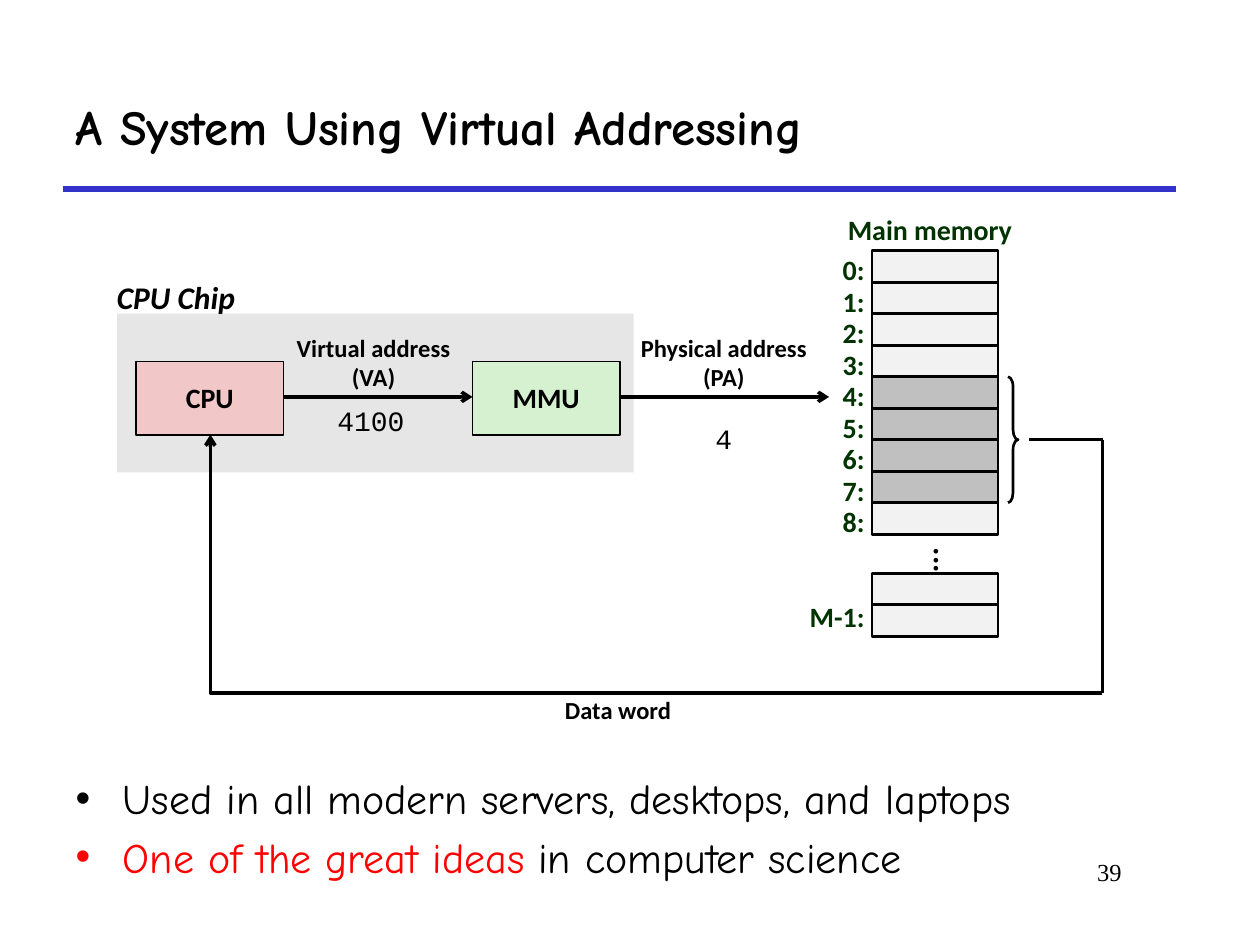
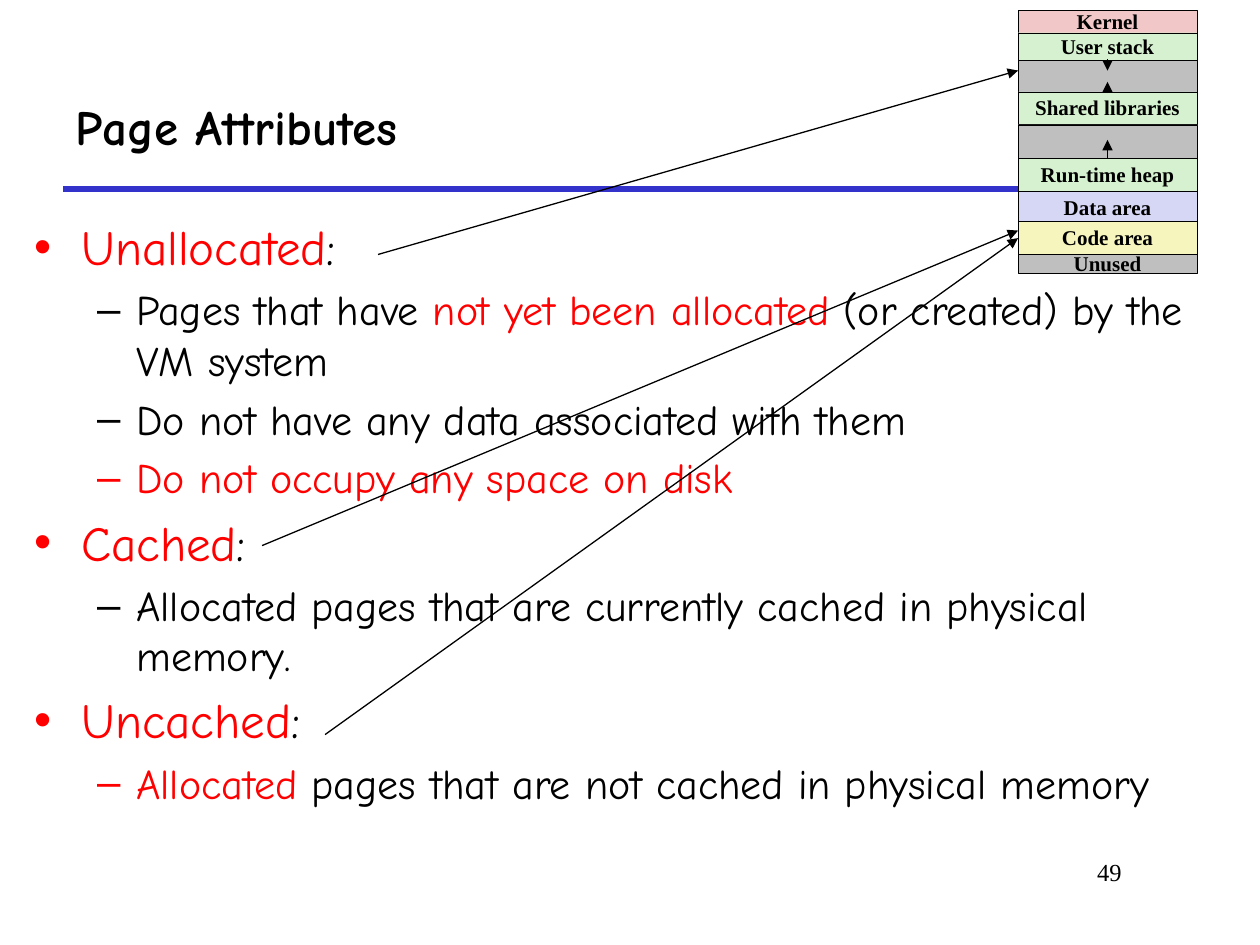
from pptx import Presentation
from pptx.dml.color import RGBColor
from pptx.enum.shapes import MSO_CONNECTOR, MSO_SHAPE
from pptx.enum.text import MSO_ANCHOR, MSO_AUTO_SIZE, PP_ALIGN
from pptx.oxml.ns import qn
from pptx.util import Inches, Pt
from lxml.etree import SubElement

HUES = {
    "black": "000000", "red": "FF0000", "rule": "3333CC", "green": "003300",
    "chip": "E6E6E6", "cell": "F2F2F2", "page": "C0C0C0", "gap": "BFBFBF",
    "pink": "F1C7C7", "mint": "D5F1CF", "lilac": "D6D6F5", "cream": "F6F5BD",
}
INK = {key: RGBColor.from_string(code) for key, code in HUES.items()}

FACES = {
    "title": {"name": "Comic Neue", "size": Pt(28), "bold": True},
    "big": {"name": "Comic Neue", "size": Pt(28)},
    "list": {"name": "Comic Neue", "size": Pt(24)},
    "number": {"name": "Times New Roman", "size": Pt(14)},
    "label": {"name": "Calibri", "size": Pt(16), "bold": True},
    "note": {"name": "Calibri", "size": Pt(14), "bold": True},
    "dots": {"name": "Calibri", "size": Pt(18), "bold": True},
    "head": {"name": "Calibri", "size": Pt(18), "bold": True, "italic": True},
    "code": {"name": "Courier New", "size": Pt(16)},
    "part": {"name": "Times New Roman", "size": Pt(12), "bold": True},
}
MID = {"alignment": PP_ALIGN.CENTER, "line_spacing": 0.98}
TIGHT = {"alignment": PP_ALIGN.CENTER, "line_spacing": 0.88}
RIGHT = {"alignment": PP_ALIGN.RIGHT, "line_spacing": 0.88}


def box(shapes, area, text="", face="label", form=MID, hue="black", fill=None,
        line=None, kind=None, anchor=MSO_ANCHOR.MIDDLE, wrap=False):
    place = [Inches(n) for n in area]
    if fill or line:
        item = shapes.add_shape(kind or MSO_SHAPE.RECTANGLE, *place)
        item.shadow.inherit = False
        if fill:
            item.fill.solid()
            item.fill.fore_color.rgb = INK[fill]
        else:
            item.fill.background()
        if line:
            item.line.color.rgb = INK["black"]
            item.line.width = Pt(line)
        else:
            item.line.fill.background()
    else:
        item = shapes.add_textbox(*place)
    if text:
        frame = item.text_frame
        frame.text = text
        frame.word_wrap = wrap
        frame.vertical_anchor = anchor
        for para in frame.paragraphs:
            for key, value in form.items():
                setattr(para, key, value)
            for key, value in FACES[face].items():
                setattr(para.font, key, value)
            para.font.color.rgb = INK[hue]
    return item


def wire(shapes, start, end, width=2, tip=None, hue="black", bent=False):
    kind = MSO_CONNECTOR.ELBOW if bent else MSO_CONNECTOR.STRAIGHT
    item = shapes.add_connector(kind, *[Inches(n) for n in start + end])
    item.line.color.rgb = INK[hue]
    item.line.width = Pt(width)
    props = item._element.spPr
    if bent:
        props.find(qn("a:prstGeom")).set("prst", "bentConnector2")
    if tip:
        SubElement(props.find(qn("a:ln")), qn("a:tailEnd"), type=tip)
    SubElement(props, qn("a:effectLst"))


deck = Presentation()
deck.slide_width, deck.slide_height = Inches(10), Inches(7.5)

PAGES = [
    ("A System Using Virtual Addressing", "39", (0.5, 6.08, 9.09, 1.17), [
        (0, "list", [("Used in all modern servers, desktops, and laptops", "black")]),
        (0, "list", [("One of the great ideas", "red"), (" in computer science", "black")]),
    ]),
    ("Page Attributes", "49", (0.17, 1.67, 9.67, 4.83), [
        (0, "big", [("Unallocated", "red"), (":", "black")]),
        (1, "list", [("Pages that have ", "black"), ("not yet been allocated ", "red"),
                     ("(or created) by the VM system", "black")]),
        (1, "list", [("Do not have any data associated with them", "black")]),
        (1, "list", [("Do not occupy any space on disk", "red")]),
        (0, "big", [("Cached", "red"), (":", "black")]),
        (1, "list", [("Allocated pages that are currently cached in physical memory.", "black")]),
        (0, "big", [("Uncached", "red"), (":", "black")]),
        (1, "list", [("Allocated", "red"),
                     (" pages that are not cached in physical memory", "black")]),
    ]),
]
for name, number, area, points in PAGES:
    slide = deck.slides.add_slide(deck.slide_layouts[1])
    title, body = slide.placeholders
    rows = [(0, "title", [(name, "black")])]
    for holder, spot, lines in [(title, (0.5, 0.5, 8.83, 1), rows), (body, area, points)]:
        for key, value in zip(("left", "top", "width", "height"), spot):
            setattr(holder, key, Inches(value))
        frame = holder.text_frame
        frame.auto_size = MSO_AUTO_SIZE.NONE
        frame.word_wrap = True
        for index, (level, face, runs) in enumerate(lines):
            para = frame.add_paragraph() if index else frame.paragraphs[0]
            para.level = level
            if index == 0:
                para.space_before = Pt(0)
            for text, hue in runs:
                run = para.add_run()
                run.text = text
                for key, value in FACES[face].items():
                    setattr(run.font, key, value)
                run.font.color.rgb = INK[hue]
    title.text_frame.vertical_anchor = MSO_ANCHOR.MIDDLE
    title.text_frame.paragraphs[0].alignment = PP_ALIGN.LEFT
    wire(slide.shapes, (0.5, 1.5), (9.33, 1.5), 3, hue="rule")
    box(slide.shapes, (7.58, 6.75, 1.42, 0.5), number, "number",
        {"alignment": PP_ALIGN.RIGHT}, anchor=MSO_ANCHOR.TOP, wrap=True)

first, second = [slide.shapes for slide in deck.slides]

box(first, (0.93, 2.49, 4.1, 1.26), fill="chip")
box(first, (0.83, 2.16, 1.16, 0.4), "CPU Chip", "head", {}, anchor=MSO_ANCHOR.TOP)
box(first, (6.62, 1.67, 1.52, 0.34), "Main memory", form=TIGHT, hue="green",
    anchor=MSO_ANCHOR.TOP)

STEP = 0.25
cells = [(f"{n}:", 1.99 + n * STEP, "page" if 4 <= n <= 7 else "cell") for n in range(9)]
cells += [("", 4.55, "cell"), ("M-1:", 4.8, "cell")]
for text, top, fill in cells:
    box(first, (6.92, top, 1, STEP), fill=fill, line=1.5)
    if text:
        shift = 0.06 if text == "M-1:" else 0
        box(first, (5.96, top - shift, 1, 0.34), text, form=RIGHT, hue="green",
            anchor=MSO_ANCHOR.TOP, wrap=True)
dots = box(first, (7, 4.25, 1, 0.25), "...", "dots")
dots.text_frame._txBody.bodyPr.set("vert", "eaVert")
brace = box(first, (8, 2.99, 0.08, 1), line=1.5, kind=MSO_SHAPE.RIGHT_BRACE)
brace.adjustments[0] = 1
brace.adjustments[1] = 0.5

for text, left, fill in [("CPU", 1.08, "pink"), ("MMU", 3.75, "mint")]:
    box(first, (left, 2.87, 1.17, 0.58), text, fill=fill, line=1)
for text, area in [
    ("Virtual address\n(VA)", (2.25, 2.6, 1.43, 0.57)),
    ("Physical address\n(PA)", (4.98, 2.6, 1.53, 0.57)),
    ("Data word", (4.38, 5.47, 1.05, 0.34)),
]:
    box(first, area, text, "note")
for text, area in [("4100", (2.58, 3.15, 0.74, 0.37)), ("4", (5.58, 3.3, 0.34, 0.37))]:
    box(first, area, text, "code", {}, anchor=MSO_ANCHOR.TOP)

wire(first, (2.25, 3.15), (3.75, 3.15), tip="arrow")
wire(first, (4.92, 3.15), (6.58, 3.15), tip="arrow")
wire(first, (8.17, 3.49), (8.75, 3.49))
wire(first, (8.75, 3.49), (8.75, 5.5))
wire(first, (8.75, 5.5), (1.67, 3.45), tip="arrow", bent=True)

stack = second.add_group_shape().shapes
for text, top, height, fill in [
    ("Kernel", 0.08, 0.19, "pink"),
    ("", 0.39, 0.35, "gap"),
    ("User stack", 0.26, 0.22, "mint"),
    ("Shared libraries", 0.73, 0.26, "mint"),
    ("", 0.99, 0.28, "gap"),
    ("Run-time heap", 1.26, 0.26, "mint"),
    ("Unused", 2.02, 0.15, "gap"),
    ("Data area", 1.52, 0.26, "lilac"),
    ("Code area", 1.76, 0.26, "cream"),
]:
    box(stack, (8.08, top, 1.42, height), text, "part", fill=fill, line=0.25)
for start, end in [(1.26, 1.11), (0.74, 0.65), (0.47, 0.56)]:
    wire(stack, (8.79, start), (8.79, end), 0.25, "triangle")
for start, end in [((3, 2.02), 0.56), ((2.08, 4.33), 1.83), ((2.58, 5.83), 1.89)]:
    wire(second, start, (8.08, end), 0.75, "triangle")

deck.save("out.pptx")
